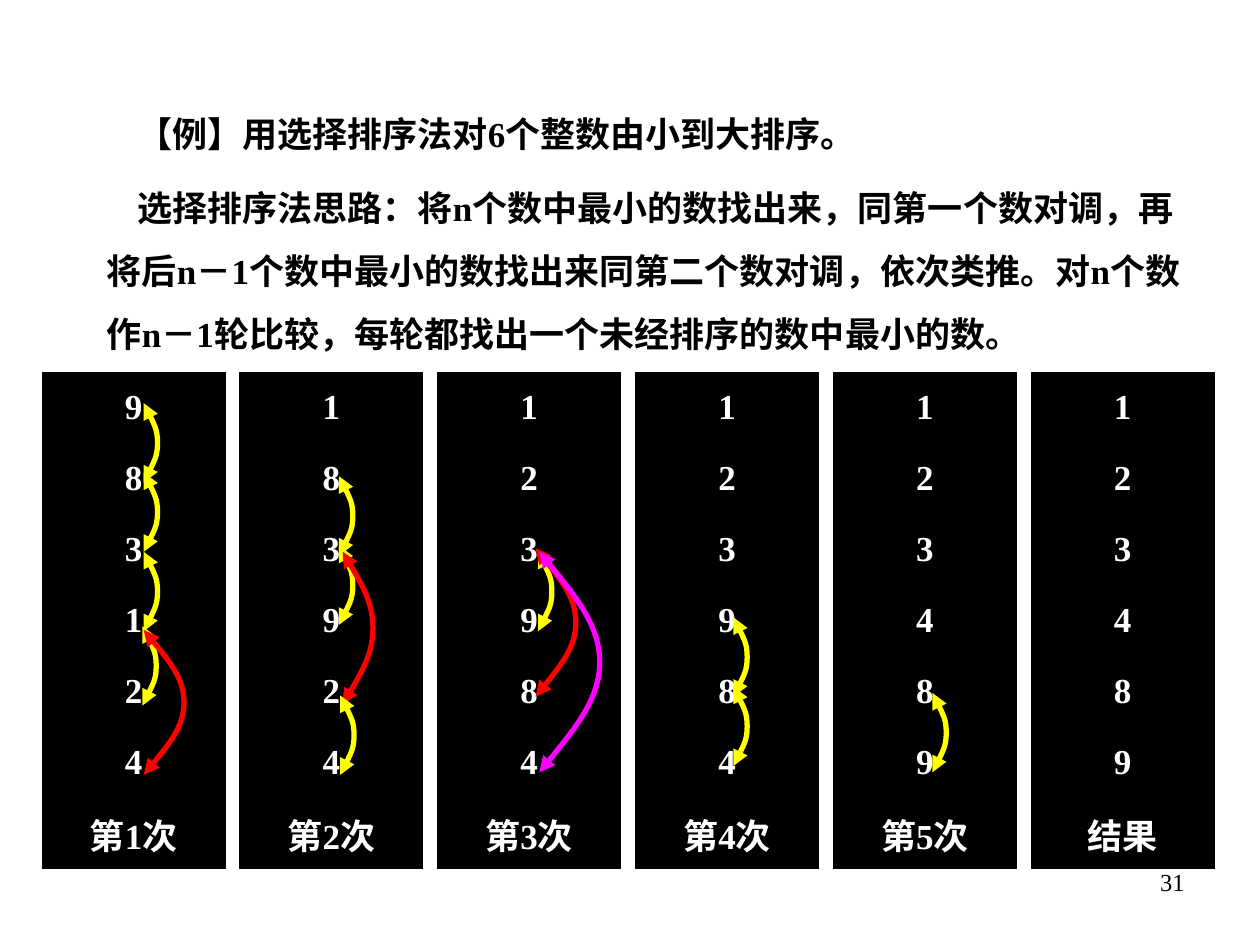
from lxml import etree
from pptx import Presentation
from pptx.dml.color import RGBColor
from pptx.enum.text import MSO_ANCHOR, PP_ALIGN
from pptx.oxml.ns import qn
from pptx.util import Inches, Pt

LEFT, CENTER, RIGHT = PP_ALIGN.LEFT, PP_ALIGN.CENTER, PP_ALIGN.RIGHT
MIDDLE = MSO_ANCHOR.MIDDLE
FONT = "Times New Roman"
BLACK, WHITE = "000000", "FFFFFF"
YELLOW, RED, MAGENTA = "FFFF00", "FF0000", "FF00FF"
NO_TABLE_STYLE = "{2D5ABB26-0587-4C30-8999-92F81FD0307C}"

INTRODUCTION = [
    "【例】用选择排序法对6个整数由小到大排序。",
    "选择排序法思路：将n个数中最小的数找出来，同第一个数对调，再将后n－1个数中最小的数"
    "找出来同第二个数对调，依次类推。对n个数作n－1轮比较，每轮都找出一个未经排序的数中最小的数。",
]
ROUNDS = [
    ("983124", "第1次"),
    ("183924", "第2次"),
    ("123984", "第3次"),
    ("123984", "第4次"),
    ("123489", "第5次"),
    ("123489", "结果"),
]
SHORT_ARC = (0.11, 0.63)
COMPARISONS = [
    [(0.81, 0.25, SHORT_ARC, YELLOW), (0.81, 0.8, SHORT_ARC, YELLOW),
     (0.81, 1.43, SHORT_ARC, YELLOW), (0.8, 2.02, SHORT_ARC, YELLOW),
     (0.81, 2.05, (0.32, 1.15), RED)],
    [(0.79, 0.83, SHORT_ARC, YELLOW), (0.79, 1.38, SHORT_ARC, YELLOW),
     (0.82, 1.43, (0.24, 1.21), RED), (0.8, 2.57, SHORT_ARC, YELLOW)],
    [(0.8, 1.43, SHORT_ARC, YELLOW), (0.78, 1.4, (0.32, 1.18), RED),
     (0.81, 1.43, (0.48, 1.75), MAGENTA)],
    [(0.78, 1.95, SHORT_ARC, YELLOW), (0.78, 2.5, SHORT_ARC, YELLOW)],
    [(0.79, 2.55, SHORT_ARC, YELLOW)],
    [],
]


def color(value):
    return RGBColor.from_string(value)


def write(paragraph, text, size=20, fill=BLACK, bold=True, align=LEFT):
    paragraph.text = text
    paragraph.alignment = align
    font = paragraph.font
    font.name, font.size, font.bold = FONT, Pt(size), bold
    font.color.rgb = color(fill)


def add_text_frame(slide, left, top, width, height):
    box = slide.shapes.add_textbox(Inches(left), Inches(top), Inches(width), Inches(height))
    box.text_frame.word_wrap = True
    return box.text_frame


def add_introduction(slide, left, top, width, height):
    frame = add_text_frame(slide, left, top, width, height)
    for index, text in enumerate(INTRODUCTION):
        paragraph = frame.add_paragraph() if index else frame.paragraphs[0]
        write(paragraph, text)
        paragraph.line_spacing = 1.5
        paragraph.space_before = Pt(6.2 if index else 0)
        paragraph._p.get_or_add_pPr().set("indent", str(Inches(0.24)))


def add_round(slide, numbers, label, left, top, width, height):
    values = [*numbers, label]
    table = slide.shapes.add_table(
        len(values), 1, Inches(left), Inches(top), Inches(width), Inches(height)
    ).table
    table.first_row = table.horz_banding = False
    table._tbl.tblPr.find(qn("a:tableStyleId")).text = NO_TABLE_STYLE
    for row, value in enumerate(values):
        cell = table.cell(row, 0)
        cell.fill.solid()
        cell.fill.fore_color.rgb = color(BLACK)
        cell.vertical_anchor = MIDDLE
        write(cell.text_frame.paragraphs[0], value, fill=WHITE, align=CENTER)


def add_curve(outline, points):
    curve = etree.SubElement(outline, qn("a:cubicBezTo"))
    for x, y in points:
        etree.SubElement(curve, qn("a:pt"), x=str(round(x)), y=str(round(y)))


def add_comparison(slide, left, top, width, height, line_color):
    width, height = Inches(width), Inches(height)
    builder = slide.shapes.build_freeform(0, 0)
    builder.add_line_segments([(width, height // 2), (0, height)], close=False)
    arc = builder.convert_to_shape(Inches(left), Inches(top))
    outline = next(arc._element.iter(qn("a:path")))
    for segment in outline.findall(qn("a:lnTo")):
        outline.remove(segment)
    add_curve(outline, [(width / 2, height / 6), (width, height / 3), (width, height / 2)])
    add_curve(outline, [(width, height * 2 / 3), (width / 2, height * 5 / 6), (0, height)])
    arc.shadow.inherit = False
    arc.fill.background()
    arc.line.color.rgb = color(line_color)
    arc.line.width = Pt(3)
    for end in ("a:headEnd", "a:tailEnd"):
        etree.SubElement(arc.line._get_or_add_ln(), qn(end), type="triangle")


def add_rounds(slide, left, top, width, height, pitch):
    for index, (numbers, label) in enumerate(ROUNDS):
        add_round(slide, numbers, label, left + index * pitch, top, width, height)
    for index, arcs in enumerate(COMPARISONS):
        for across, down, size, line_color in arcs:
            add_comparison(slide, left + index * pitch + across, top + down, *size, line_color)


def add_slide_number(slide, left, top, width, height):
    frame = add_text_frame(slide, left, top, width, height)
    write(frame.paragraphs[0], "31", size=14, bold=False, align=RIGHT)


def main():
    presentation = Presentation()
    presentation.slide_width, presentation.slide_height = Inches(10), Inches(7.5)
    slide = presentation.slides.add_slide(presentation.slide_layouts[6])
    add_slide_number(slide, 7.17, 6.83, 2.33, 0.52)
    add_introduction(slide, 0.75, 0.68, 8.74, 2.19)
    add_rounds(slide, 0.33, 2.95, 1.46, 3.95, pitch=1.57)
    presentation.save("out.pptx")


if __name__ == "__main__":
    main()
